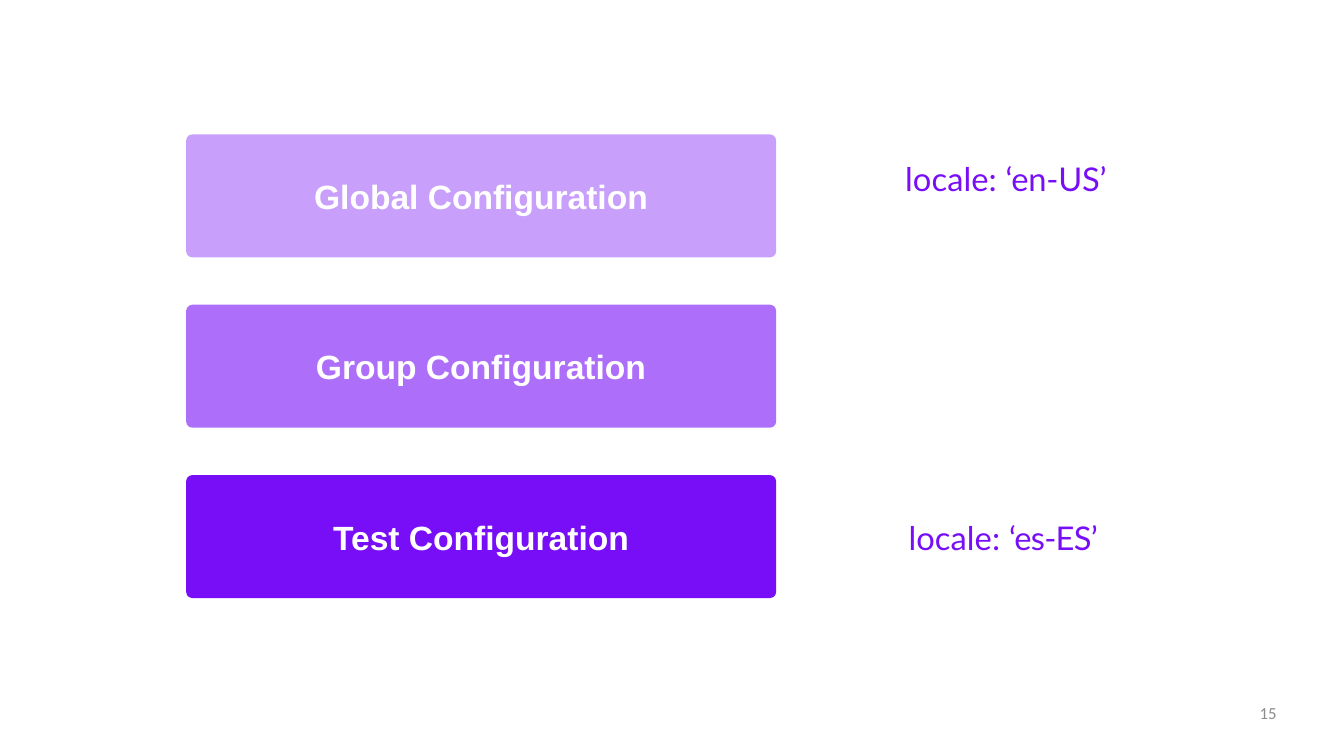
from pptx import Presentation
from pptx.dml.color import RGBColor
from pptx.enum.shapes import MSO_SHAPE
from pptx.enum.text import MSO_ANCHOR, MSO_AUTO_SIZE, PP_ALIGN
from pptx.util import Pt

PX = 9144  # 100 px to the inch
PURPLE = "770EF7"
LEVELS = [("Global Configuration", "C99FFC"),
          ("Group Configuration", "AD6EFA"),
          ("Test Configuration", PURPLE)]


def px(*lengths):
    return [round(n * PX) for n in lengths]


def color(hex_string):
    return RGBColor.from_string(hex_string)


def format_run(r, font, size, hex_string, bold=False):
    r.font.name = font
    r.font.size = Pt(size)
    r.font.bold = bold
    r.font.color.rgb = color(hex_string)


def prepare_frame(s, anchor=MSO_ANCHOR.TOP):
    tf = s.text_frame
    tf.margin_left = tf.margin_top = tf.margin_right = tf.margin_bottom = 0
    tf.word_wrap = True
    tf.auto_size = MSO_AUTO_SIZE.NONE
    tf.vertical_anchor = anchor
    return tf


def add_levels(slide, left, top, width, height, bar_height=183):
    """Stack one bar per configuration level, evenly spread over the box."""
    pitch = (height - bar_height) / (len(LEVELS) - 1)
    for i, (label, fill) in enumerate(LEVELS):
        s = slide.shapes.add_shape(MSO_SHAPE.ROUNDED_RECTANGLE,
                                   *px(left, top + i * pitch, width, bar_height))
        s.adjustments[0] = 0.05
        s.shadow.inherit = False
        s.fill.solid()
        s.fill.fore_color.rgb = color(fill)
        s.line.fill.background()
        tf = prepare_frame(s, MSO_ANCHOR.MIDDLE)
        tf.text = label
        p = tf.paragraphs[0]
        p.alignment = PP_ALIGN.CENTER
        format_run(p.runs[0], "Arial", 36, "FFFFFF", bold=True)


def fill_locale(s, left, top, width, height, value, spacing):
    """Write a locale setting; spacing is in hundredths of a point."""
    s.left, s.top, s.width, s.height = px(left, top, width, height)
    tf = prepare_frame(s)
    tf.margin_top = px(2)[0]
    p = tf.paragraphs[0]
    p.alignment = PP_ALIGN.LEFT
    for text, spc in (("locale: ", 10), (value, spacing)):
        r = p.add_run()
        r.text = text
        format_run(r, "Lato", 35, PURPLE)
        r._r.get_or_add_rPr().set("spc", str(spc))


def add_page_number(slide, left, top, width, height, number):
    tf = prepare_frame(slide.shapes.add_textbox(*px(left, top, width, height)))
    tf.text = str(number)
    p = tf.paragraphs[0]
    p.alignment = PP_ALIGN.RIGHT
    format_run(p.runs[0], "Calibri", 18, "8C8C8C")


def main():
    prs = Presentation()
    prs.slide_width, prs.slide_height = px(2000, 1125)
    slide = prs.slides.add_slide(prs.slide_layouts[5])
    add_levels(slide, 277, 200, 878, 690)
    fill_locale(slide.shapes.title, 1347, 235, 330, 61, "‘en-US’", -30)
    test_locale = slide.shapes.add_textbox(0, 0, 0, 0)
    fill_locale(test_locale, 1352, 768, 330, 61, "‘es-ES’", -80)
    add_page_number(slide, 1440, 1046, 460, 56, 15)
    prs.save("out.pptx")


if __name__ == "__main__":
    main()
